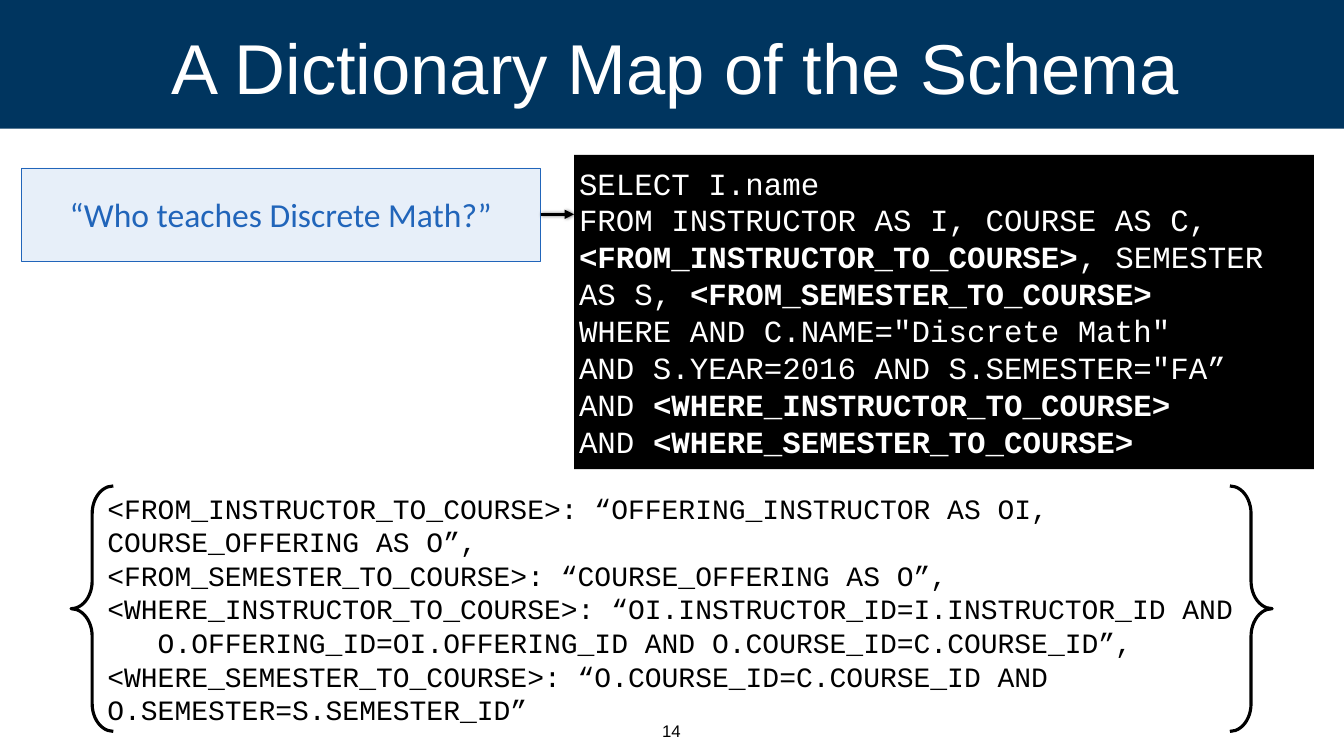
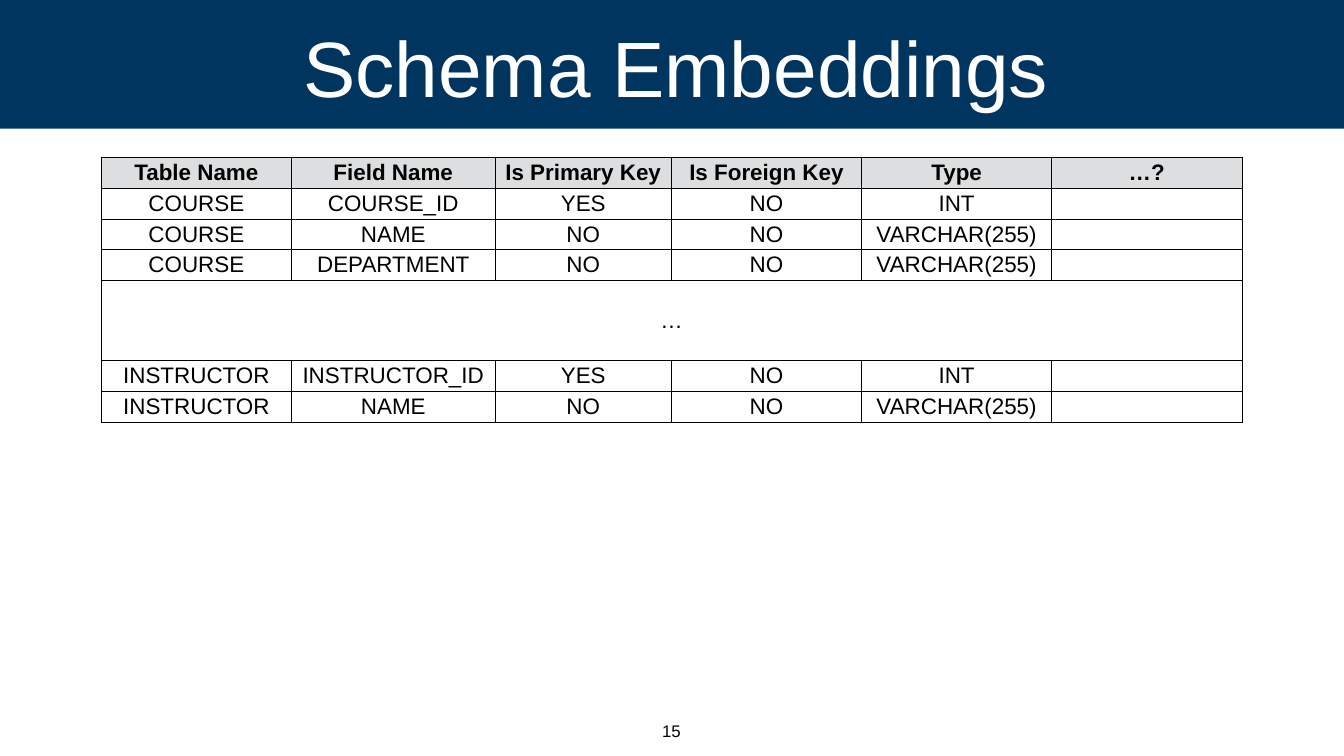
from lxml import etree
from pptx import Presentation
from pptx.dml.color import RGBColor
from pptx.enum.shapes import MSO_CONNECTOR, MSO_SHAPE
from pptx.enum.text import MSO_ANCHOR, PP_ALIGN
from pptx.oxml import parse_xml
from pptx.oxml.ns import nsdecls, qn
from pptx.util import Cm, Pt

NAVY = RGBColor(0x00, 0x35, 0x5F)
BLUE = RGBColor(0x21, 0x65, 0xBA)
PALE_BLUE = RGBColor(0xE7, 0xEF, 0xF9)
GRAY = RGBColor(0xDC, 0xDE, 0xE0)
BLACK = RGBColor(0x00, 0x00, 0x00)
WHITE = RGBColor(0xFF, 0xFF, 0xFF)

RECTANGLE = MSO_SHAPE.RECTANGLE
LEFT_BRACE = MSO_SHAPE.LEFT_BRACE
STRAIGHT = MSO_CONNECTOR.STRAIGHT
LEFT = PP_ALIGN.LEFT
CENTER = PP_ALIGN.CENTER
MIDDLE = MSO_ANCHOR.MIDDLE
TOP = MSO_ANCHOR.TOP

SANS = "Arial"
ROUNDED = "Calibri"
MONO = "Courier New"
BOLD_MARK = "|"
TITLE_ONLY = 5

QUESTION = "“Who teaches Discrete Math?”"
QUERY = [
    "SELECT I.name",
    "FROM INSTRUCTOR AS I, COURSE AS C,",
    "|<FROM_INSTRUCTOR_TO_COURSE>|, SEMESTER AS S, |<FROM_SEMESTER_TO_COURSE>|",
    'WHERE AND C.NAME="Discrete Math"',
    'AND S.YEAR=2016 AND S.SEMESTER="FA”',
    "AND |<WHERE_INSTRUCTOR_TO_COURSE>|",
    "AND |<WHERE_SEMESTER_TO_COURSE>|",
]
DICTIONARY = [
    "<FROM_INSTRUCTOR_TO_COURSE>: “OFFERING_INSTRUCTOR AS OI, \tCOURSE_OFFERING AS O”,",
    "<FROM_SEMESTER_TO_COURSE>: “COURSE_OFFERING AS O”,",
    "<WHERE_INSTRUCTOR_TO_COURSE>: “OI.INSTRUCTOR_ID=I.INSTRUCTOR_ID AND",
    "\tO.OFFERING_ID=OI.OFFERING_ID AND O.COURSE_ID=C.COURSE_ID”,",
    "<WHERE_SEMESTER_TO_COURSE>: “O.COURSE_ID=C.COURSE_ID AND \tO.SEMESTER=S.SEMESTER_ID”",
]
SCHEMA_ROWS = [
    ["Table Name", "Field Name", "Is Primary Key", "Is Foreign Key", "Type", "…?"],
    ["COURSE", "COURSE_ID", "YES", "NO", "INT", ""],
    ["COURSE", "NAME", "NO", "NO", "VARCHAR(255)", ""],
    ["COURSE", "DEPARTMENT", "NO", "NO", "VARCHAR(255)", ""],
    ["…"],
    ["INSTRUCTOR", "INSTRUCTOR_ID", "YES", "NO", "INT", ""],
    ["INSTRUCTOR", "NAME", "NO", "NO", "VARCHAR(255)", ""],
]


def write_text(frame, lines, size=32, font=SANS, color=BLACK, bold=False,
               align=LEFT, anchor=MIDDLE, inset=None, wrap=True, tab=None):
    frame.word_wrap = wrap
    frame.vertical_anchor = anchor
    if inset is not None:
        frame.margin_left = frame.margin_right = inset
        frame.margin_top = frame.margin_bottom = inset
    for index, line in enumerate(lines):
        paragraph = frame.paragraphs[0] if index == 0 else frame.add_paragraph()
        paragraph.alignment = align
        if tab is not None:
            properties = paragraph._p.get_or_add_pPr()
            stops = etree.SubElement(properties, qn("a:tabLst"))
            etree.SubElement(stops, qn("a:tab"), pos=str(int(tab)), algn="l")
        for position, part in enumerate(line.split(BOLD_MARK)):
            if part:
                run = paragraph.add_run()
                run.text = part
                run.font.size = Pt(size)
                run.font.name = font
                run.font.bold = bold or position % 2 == 1
                run.font.color.rgb = color


class Deck:
    inset = Cm(0.2)

    def __init__(self):
        self.presentation = Presentation()
        self.presentation.slide_width = Cm(67.73)
        self.presentation.slide_height = Cm(38.1)
        self.slide = None

    def add_slide(self, title, title_size, number):
        layout = self.presentation.slide_layouts[TITLE_ONLY]
        self.slide = self.presentation.slides.add_slide(layout)
        if len(self.presentation.slides) == 1:
            band = self.add_box(-0.03, -0.05, 67.79, 6.53, NAVY)
            self.presentation.slide_master.shapes.element.insert(2, band.element)
        heading = self.slide.shapes.title
        heading.left, heading.top = Cm(7.06), Cm(0.2)
        heading.width, heading.height = Cm(53.98), Cm(6.25)
        write_text(heading.text_frame, [title], size=title_size, color=WHITE,
                   align=CENTER, inset=self.inset)
        self.add_text(33.15, 36.14, 1.37, 1.42, [str(number)], size=24,
                      align=CENTER, anchor=TOP, wrap=False)

    def add_box(self, left, top, width, height, fill, line=None, lines=(), **style):
        box = self.slide.shapes.add_shape(
            RECTANGLE, Cm(left), Cm(top), Cm(width), Cm(height))
        box.shadow.inherit = False
        box.fill.solid()
        box.fill.fore_color.rgb = fill
        if line is None:
            box.line.fill.background()
        else:
            box.line.color.rgb = line
            box.line.width = Pt(1)
        write_text(box.text_frame, lines, **style)
        return box

    def add_text(self, left, top, width, height, lines, group=None, **style):
        shapes = (group or self.slide).shapes
        box = shapes.add_textbox(Cm(left), Cm(top), Cm(width), Cm(height))
        write_text(box.text_frame, lines, inset=self.inset, **style)

    def add_brace(self, group, left, top, width, height, rotation=0):
        brace = group.shapes.add_shape(
            LEFT_BRACE, Cm(left), Cm(top), Cm(width), Cm(height))
        brace.shadow.inherit = False
        brace.adjustments[0] = 0.655
        brace.adjustments[1] = 0.5
        brace.rotation = rotation
        brace.fill.background()
        brace.line.color.rgb = BLACK
        brace.line.width = Pt(4.5)

    def add_braced_text(self, lines, **style):
        top, height = 24.49, 12.37
        group = self.slide.shapes.add_group_shape()
        self.add_text(5.21, top, 57.63, height, lines, group=group, **style)
        self.add_brace(group, 3.58, top, 2.13, height)
        self.add_brace(group, 61.98, top, 2.13, height, rotation=180)

    def add_arrow(self, start, end, y):
        arrow = self.slide.shapes.add_connector(
            STRAIGHT, Cm(start), Cm(y), Cm(end), Cm(y))
        arrow.line.color.rgb = BLACK
        arrow.line.width = Pt(4.5)
        properties = arrow.element.spPr
        etree.SubElement(properties.find(qn("a:ln")), qn("a:tailEnd"), type="triangle")
        properties.append(parse_xml(
            f'<a:effectLst {nsdecls("a")}>'
            f'<a:outerShdw blurRad="{Pt(5)}" dist="{Pt(1)}" dir="0">'
            f'<a:srgbClr val="{BLACK}"><a:alpha val="50000"/></a:srgbClr>'
            '</a:outerShdw></a:effectLst>'))

    def add_table(self, left, top, widths, heights, rows):
        frame = self.slide.shapes.add_table(
            len(rows), len(widths), Cm(left), Cm(top),
            Cm(sum(widths)), Cm(sum(heights)))
        table = frame.table
        table.first_row = table.horz_banding = False
        for column, width in zip(table.columns, widths):
            column.width = Cm(width)
        for row_index, (row, height) in enumerate(zip(rows, heights)):
            table.rows[row_index].height = Cm(height)
            header = row_index == 0
            for cell in table.rows[row_index].cells:
                self.format_cell(cell, GRAY if header else None)
            if len(row) == 1:
                table.cell(row_index, 0).merge(table.cell(row_index, len(widths) - 1))
            for column_index, value in enumerate(row):
                cell = table.cell(row_index, column_index)
                write_text(cell.text_frame, [value], bold=header, align=CENTER)

    def format_cell(self, cell, fill):
        cell.vertical_anchor = MIDDLE
        cell.margin_left = cell.margin_right = Cm(0.1)
        cell.margin_top = cell.margin_bottom = Cm(0.1)
        properties = cell._tc.get_or_add_tcPr()
        for side in ("lnL", "lnR", "lnT", "lnB"):
            properties.append(parse_xml(
                f'<a:{side} {nsdecls("a")} w="{Pt(1)}"><a:solidFill>'
                f'<a:srgbClr val="{BLACK}"/></a:solidFill></a:{side}>'))
        if fill is None:
            cell.fill.background()
        else:
            cell.fill.solid()
            cell.fill.fore_color.rgb = fill


def main():
    deck = Deck()

    deck.add_slide("A Dictionary Map of the Schema", 100.8, 14)
    deck.add_box(1.09, 8.46, 26.14, 4.7, PALE_BLUE, line=BLUE, lines=[QUESTION],
                 size=48, font=ROUNDED, color=BLUE, align=CENTER)
    deck.add_box(28.93, 7.8, 37.29, 15.85, BLACK, lines=QUERY,
                 size=44, font=MONO, color=WHITE)
    deck.add_arrow(27.25, 28.93, 10.8)
    deck.add_braced_text(DICTIONARY, size=40, font=MONO, tab=Cm(2.54))

    deck.add_slide("Schema Embeddings", 112, 15)
    widths = [9.58, 10.26, 8.89] + [9.58] * 3
    heights = [4.03 if len(row) == 1 else 1.52 for row in SCHEMA_ROWS]
    deck.add_table(5.11, 7.92, widths, heights, SCHEMA_ROWS)

    deck.presentation.save("out.pptx")


if __name__ == "__main__":
    main()
